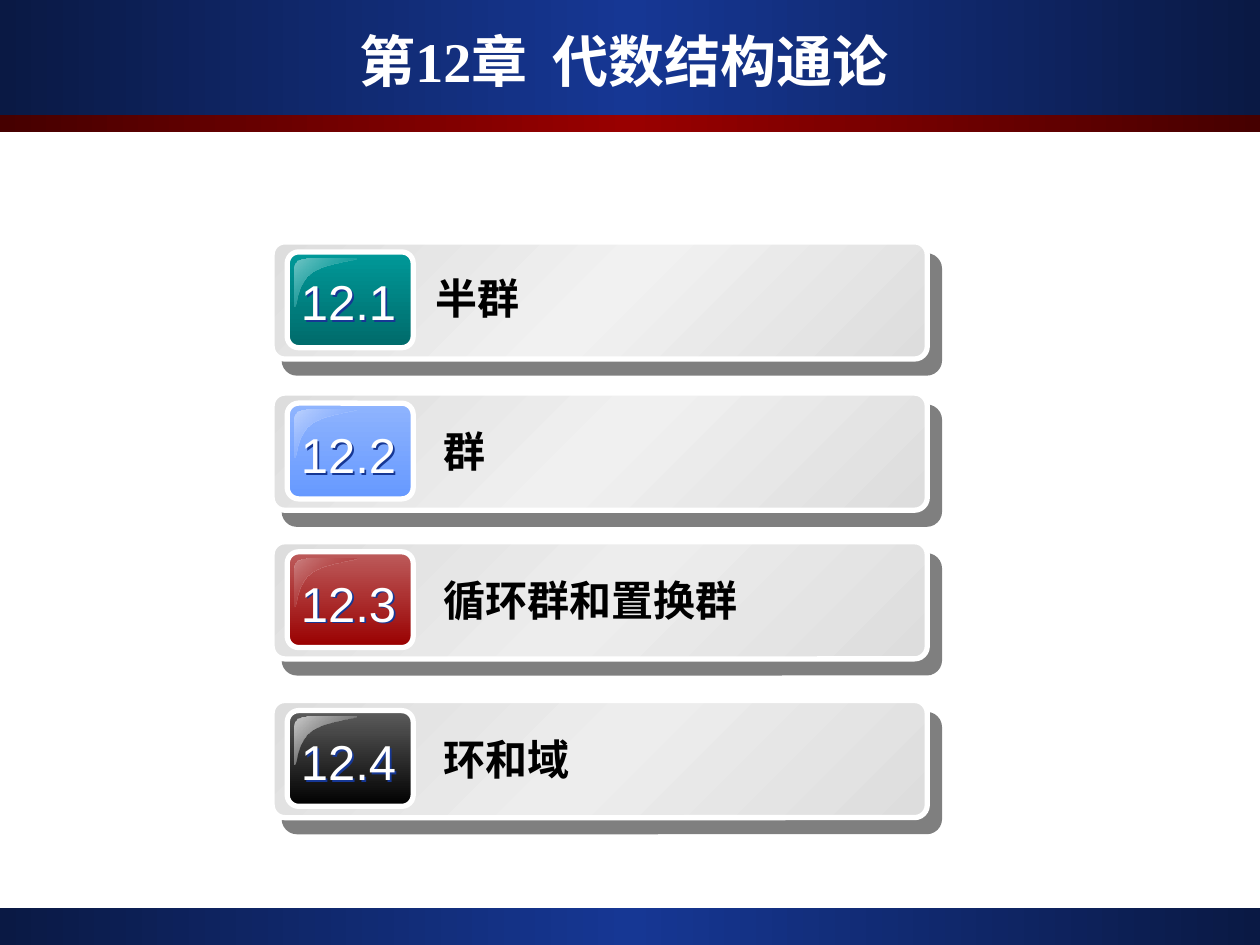
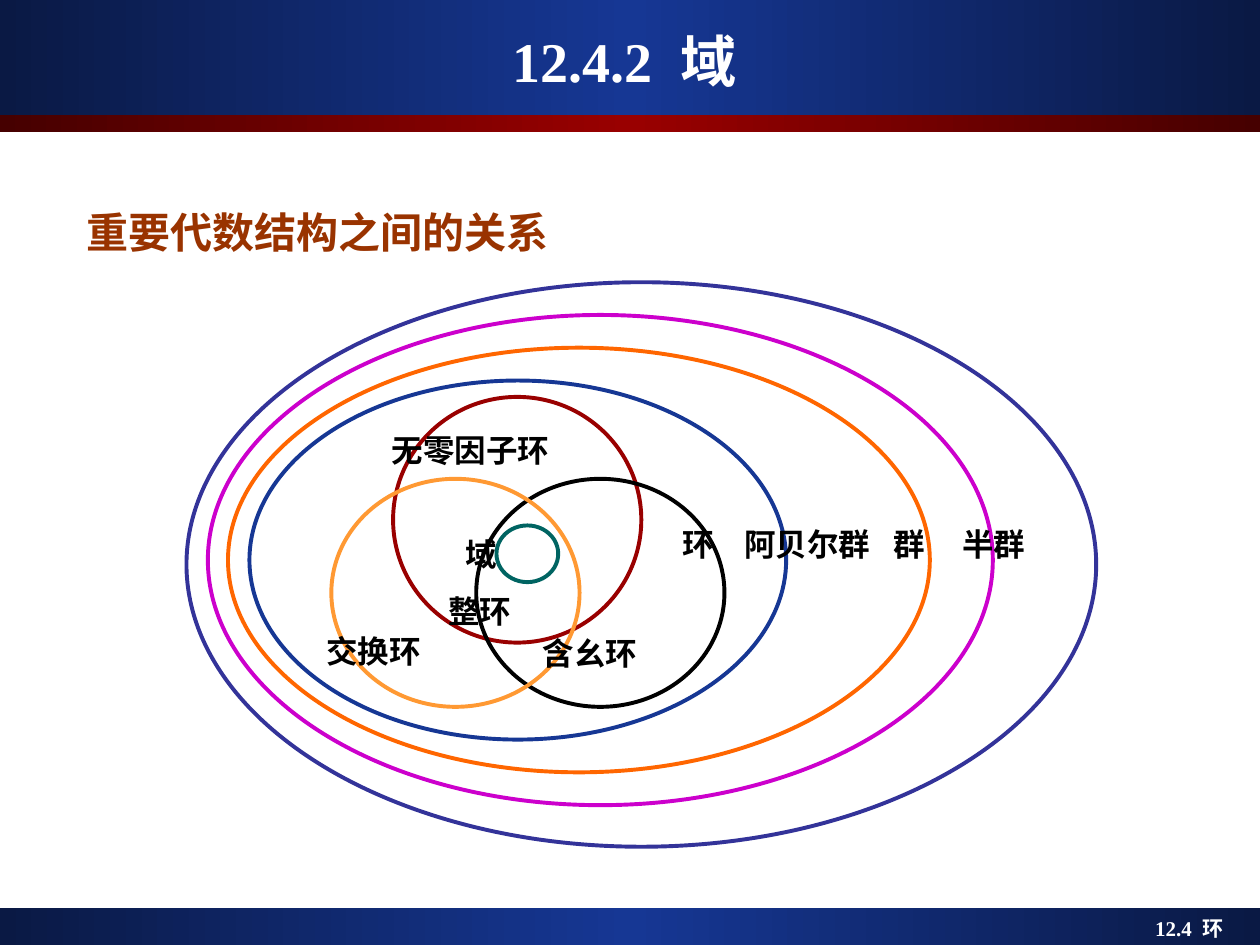
import pptx
import pptx.dml.color
import pptx.enum.shapes
import pptx.enum.text
import pptx.oxml
import pptx.oxml.ns
import pptx.util

Inches = pptx.util.Inches
Pt = pptx.util.Pt
Preset = pptx.enum.shapes.MSO_SHAPE
Align = pptx.enum.text.PP_ALIGN
Anchor = pptx.enum.text.MSO_ANCHOR
NAMESPACE = pptx.oxml.ns.nsdecls("a")
qn = pptx.oxml.ns.qn

SERIF, SANS, CHINESE = "Times New Roman", "Arial", "Noto Sans CJK SC"
WHITE, BLACK, BROWN, NAVY = "FFFFFF", "000000", "993300", "163794"
NAVY_BAND = [(0, "0A1944"), (50, NAVY), (100, "0A1944")]
RED_BAND = [(0, "460000"), (50, "990000"), (100, "460000")]
BANDS = [  # top, height, colour stops
    (7.21, 0.29, NAVY_BAND),
    (0, 0.91, NAVY_BAND),
    (0.91, 0.14, RED_BAND),
]

CHAPTER_TITLE = "第12章  代数结构通论"
CHAPTER_ROWS = [
    dict(number="12.1", topic="半群", top=1.92, middle="F1F1F1",
         tile=("009999", "006A6A"), gloss=("009999", "73C6C6"),
         number_at=(0.24, 0.52, 0.9), topic_at=(3.36, 0.19, 0.5, 1)),
    dict(number="12.2", topic="群", top=3.12, middle="F0F0F0",
         tile=("8FB4FE", "6699FF"), gloss=("6699FF", "BDD2FE")),
    dict(number="12.3", topic="循环群和置换群", top=4.3, middle="EDEDED",
         tile=("BD5C5C", "990000"), gloss=("990000", "CC8282")),
    dict(number="12.4", topic="环和域", top=5.56, middle="EDEDED",
         tile=("5C5C5C", "000000"), gloss=("969696", "CBCBCB")),
]
NUMBER_AT = (0.2, 0.57, 1)        # offset in the row, height, line spacing
TOPIC_AT = (3.42, 0.09, 0.62, 1.3)  # left, offset in the row, height, line spacing
GLOSS_START = (0.1, 0)
GLOSS_OUTLINE = [  # one point for a line, three for a curve
    [(0.04, 0), (0, 0.03), (0, 0.08)],
    [(0, 0.38)],
    [(0.02, 0.38), (0.01, 0.2), (0.14, 0.11)],
    [(0.26, 0.03), (0.5, 0.02), (0.49, 0)],
]

FIELD_TITLE = "12.4.2  域"
FIELD_HEADING = "重要代数结构之间的关系"
FIELD_FOOTER = "12.4  环"
STRUCTURE_RINGS = [  # left, top, width, height, colour
    (1.48, 2.24, 7.22, 4.48, "333399"),
    (1.65, 2.5, 6.23, 3.89, "CC00CC"),
    (1.81, 2.76, 5.57, 3.37, "FF6600"),
    (1.98, 3.02, 4.26, 2.85, NAVY),
    (3.12, 3.15, 1.97, 1.95, "990000"),
    (3.78, 3.8, 1.97, 1.81, "000000"),
    (2.63, 3.8, 1.97, 1.81, "FF9933"),
    (3.94, 4.17, 0.49, 0.45, "006462"),
]
STRUCTURE_LABELS = [  # text, left, top, width
    ("环", 5.32, 4.06, 1.2),
    ("无零因子环", 3.01, 3.31, 2.2),
    ("域", 3.6, 4.14, 1.2),
    ("阿贝尔群", 5.81, 4.06, 1.95),
    ("群", 6.99, 4.06, 1.2),
    ("半群", 7.54, 4.06, 1.45),
    ("整环", 3.46, 4.59, 1.45),
    ("交换环", 2.49, 4.91, 1.7),
    ("含幺环", 4.21, 4.92, 1.82),
]


def rgb(value):
    return pptx.dml.color.RGBColor.from_string(value)


def cast_shadow(shape, color, alpha, distance, angle):
    shape.shadow.inherit = False
    effects = shape.fill._xPr.find(qn("a:effectLst"))
    effects.append(pptx.oxml.parse_xml(
        f'<a:outerShdw {NAMESPACE} blurRad="0" dist="{Pt(distance)}" '
        f'dir="{angle * 60000}" algn="ctr" rotWithShape="0"><a:srgbClr val="{color}">'
        f'<a:alpha val="{alpha * 1000}"/></a:srgbClr></a:outerShdw>'))


def fill_gradient(shape, stops, angle):
    """Fill with (position, colour[, opacity]) stops, angle clockwise in degrees."""
    marks = ""
    for position, color, *opacity in stops:
        alpha = f'<a:alpha val="{opacity[0] * 1000}"/>' if opacity else ""
        marks += (f'<a:gs pos="{position * 1000}"><a:srgbClr val="{color}">'
                  f'{alpha}</a:srgbClr></a:gs>')
    gradient = pptx.oxml.parse_xml(
        f'<a:gradFill {NAMESPACE} rotWithShape="1"><a:gsLst>{marks}</a:gsLst>'
        f'<a:lin ang="{angle * 60000}" scaled="0"/></a:gradFill>')
    shape.fill.background()
    properties = shape.fill._xPr
    properties.replace(properties.find(qn("a:noFill")), gradient)


def set_outline(shape, color=None, width=0):
    shape.shadow.inherit = False
    if color:
        shape.line.color.rgb = rgb(color)
        shape.line.width = Pt(width)
    else:
        shape.line.fill.background()


def add_preset(page, preset, place, color=None, width=0, corner=None):
    shape = page.shapes.add_shape(preset, *map(Inches, place))
    shape.fill.background()
    set_outline(shape, color, width)
    if corner is not None:
        shape.adjustments[0] = corner
    return shape


def add_text(page, text, place, size, color=BLACK, font=SANS, bold=True,
             align=Align.LEFT, anchor=Anchor.TOP, spacing=1, left=0.1, right=0.1):
    box = page.shapes.add_textbox(*map(Inches, place))
    frame = box.text_frame
    frame.word_wrap = True
    frame.vertical_anchor = anchor
    frame.margin_left, frame.margin_right = Inches(left), Inches(right)
    para = frame.paragraphs[0]
    para.alignment = align
    para.line_spacing = float(spacing)
    span = para.add_run()
    span.text = text
    span.font.size = Pt(size)
    span.font.bold = bold
    span.font.color.rgb = rgb(color)
    span.font.name = font
    latin = span.font._element.find(qn("a:latin"))
    latin.addnext(pptx.oxml.parse_xml(f'<a:ea {NAMESPACE} typeface="{CHINESE}"/>'))
    return box


def add_page(deck, title):
    """Add a slide with the shared bands and title."""
    page = deck.slides.add_slide(deck.slide_layouts[6])
    for top, height, stops in BANDS:
        fill_gradient(add_preset(page, Preset.RECTANGLE, (0, top, 10, height)), stops, 0)
    add_text(page, title, (0.33, 0.17, 9.25, 0.62), 32, WHITE, SERIF,
             align=Align.CENTER, anchor=Anchor.MIDDLE)
    return page


def add_gloss(page, left, top, base, light):
    points = [(Inches(left + x), Inches(top + y))
              for x, y in [GLOSS_START, *sum(GLOSS_OUTLINE, [])]]
    builder = page.shapes.build_freeform(*points[0])
    builder.add_line_segments(points[1:], close=True)
    gloss = builder.convert_to_shape()
    lines = iter(list(gloss.fill._xPr.iter(qn("a:lnTo"))))
    for segment in GLOSS_OUTLINE:
        first, *others = [next(lines) for point in segment]
        if others:
            bend = pptx.oxml.parse_xml(f"<a:cubicBezTo {NAMESPACE}/>")
            first.addprevious(bend)
            for line in (first, *others):
                bend.append(line[0])
                line.getparent().remove(line)
    set_outline(gloss)
    fill_gradient(gloss, [(0, base, 0), (100, light)], 225)


def add_chapter_row(page, row):
    top = row["top"]
    bar = add_preset(page, Preset.ROUNDED_RECTANGLE, (2.16, top, 5.2, 0.93),
                     WHITE, 3, 0.109)
    fill_gradient(bar, [(0, "DDDDDD"), (50, row["middle"]), (100, "DDDDDD")], 225)
    cast_shadow(bar, BLACK, 50, 10.6, 49)

    tile = add_preset(page, Preset.ROUNDED_RECTANGLE, (2.28, top + 0.08, 1, 0.76),
                      WHITE, 3, 0.119)
    fill_gradient(tile, list(zip((0, 100), row["tile"])), 90)
    add_gloss(page, 2.34, top + 0.13, *row["gloss"])

    offset, height, spacing = row.get("number_at", NUMBER_AT)
    number = add_text(page, row["number"], (2.29, top + offset, 0.95, height), 28, WHITE,
                      bold=False, align=Align.CENTER, spacing=spacing, left=0, right=0)
    number.fill.background()
    cast_shadow(number, NAVY, 100, 1.5, 45)

    left, offset, height, spacing = row.get("topic_at", TOPIC_AT)
    add_text(page, row["topic"], (left, top + offset, 3.8, height), 24, spacing=spacing)


def build_chapter_page(deck):
    page = add_page(deck, CHAPTER_TITLE)
    for row in CHAPTER_ROWS:
        add_chapter_row(page, row)


def build_field_page(deck):
    page = add_page(deck, FIELD_TITLE)
    add_text(page, FIELD_HEADING, (0.59, 1.47, 8.84, 0.71), 24, BROWN, SERIF, spacing=1.3)
    add_text(page, FIELD_FOOTER, (7.33, 7.22, 2.56, 0.3), 12, WHITE, SERIF,
             align=Align.RIGHT, right=0.18)
    for *place, color in STRUCTURE_RINGS:
        add_preset(page, Preset.OVAL, place, color, 2.25)
    for text, left, top, width in STRUCTURE_LABELS:
        add_text(page, text, (left, top, width, 0.46), 18, spacing=1.2)


def main():
    deck = pptx.Presentation()
    deck.slide_width, deck.slide_height = Inches(10), Inches(7.5)
    build_chapter_page(deck)
    build_field_page(deck)
    deck.save("out.pptx")


if __name__ == "__main__":
    main()
